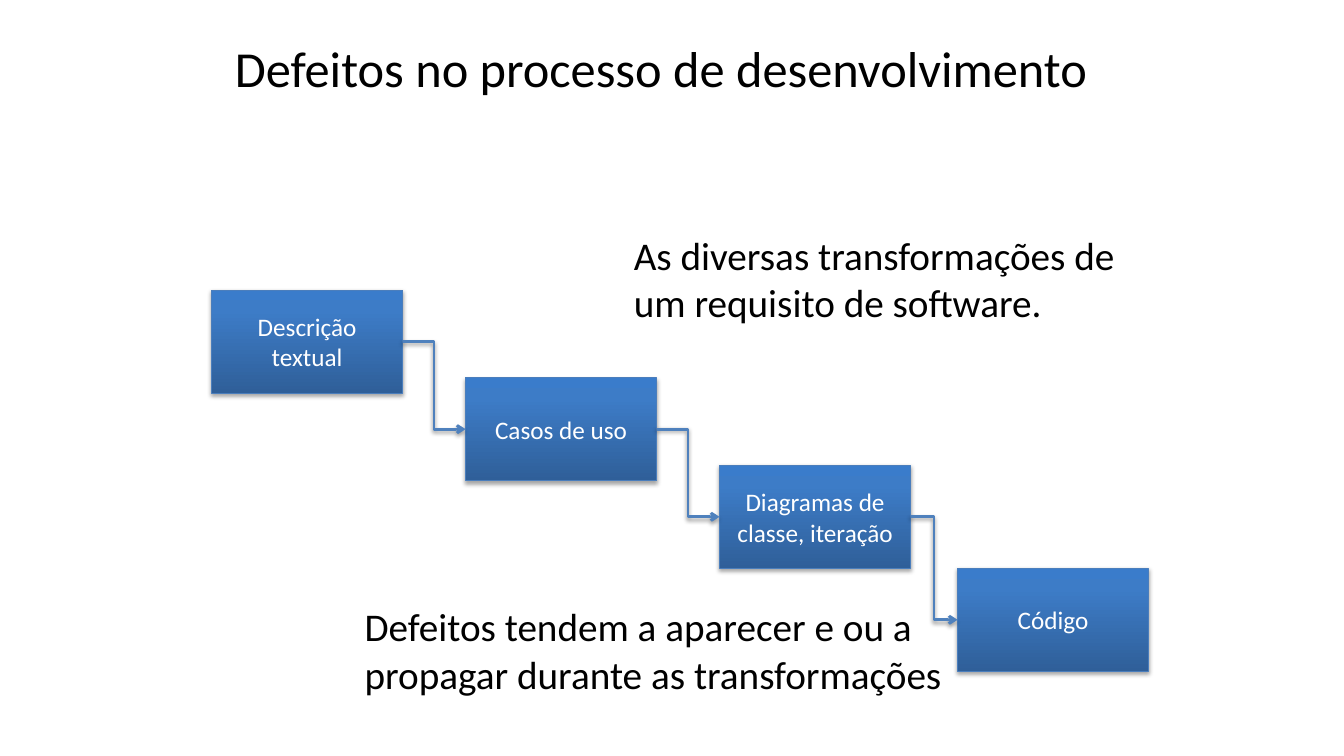
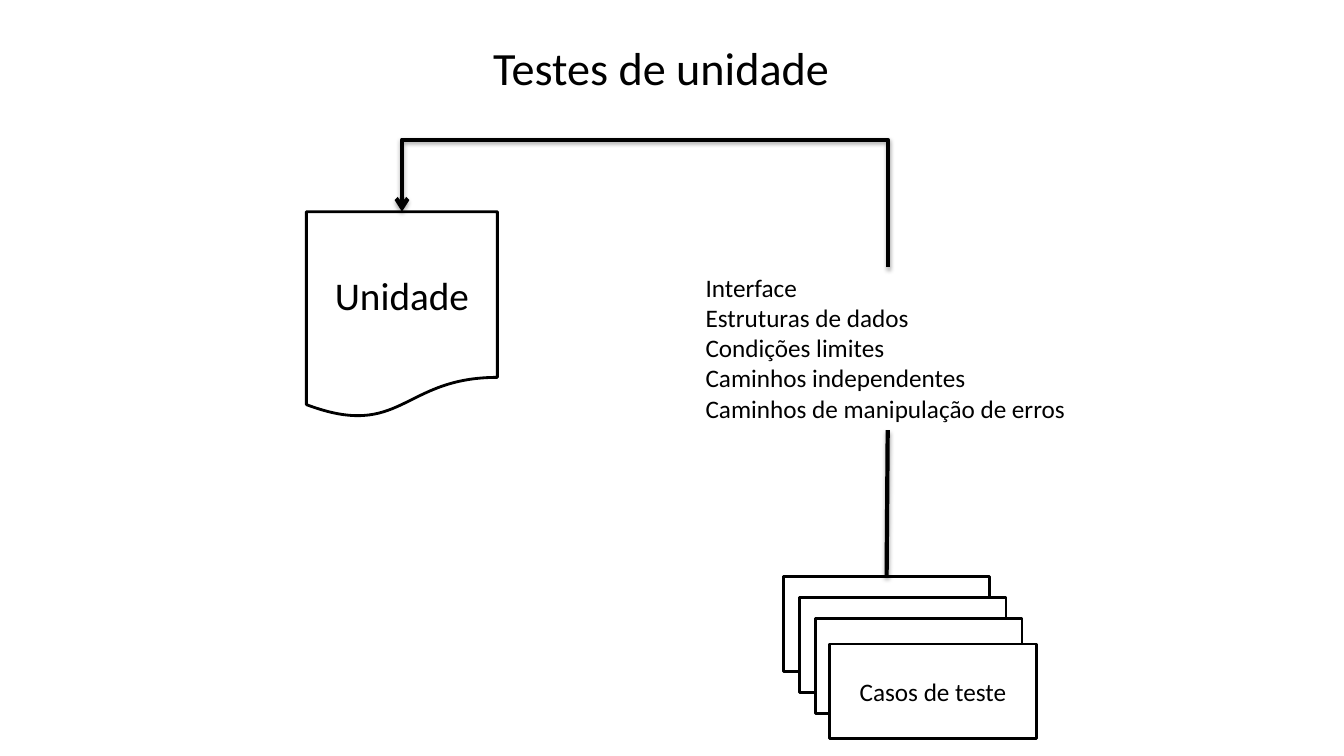
from collections import namedtuple
from copy import deepcopy
from itertools import pairwise

from pptx import Presentation
from pptx.dml.color import RGBColor
from pptx.enum.shapes import MSO_CONNECTOR, MSO_SHAPE
from pptx.enum.text import MSO_ANCHOR, MSO_AUTO_SIZE, PP_ALIGN
from pptx.oxml.ns import qn
from pptx.oxml.xmlchemy import OxmlElement
from pptx.util import Pt

BLACK = RGBColor(0x00, 0x00, 0x00)
WHITE = RGBColor(0xFF, 0xFF, 0xFF)
STEP_LINE = RGBColor(0x4B, 0x7E, 0xBC)
ARROW_BLUE = RGBColor(0x4F, 0x81, 0xBD)
STEP_GRADIENT = (
    (0, RGBColor(0x2F, 0x5F, 0x99)),
    (0.8, RGBColor(0x3D, 0x7C, 0xC7)),
    (1, RGBColor(0x3A, 0x7C, 0xCB)),
)
FONT = "Calibri"
TOP, LEFT, BOTTOM, RIGHT = 0, 2, 2, 3
LEFT = 1

Box = namedtuple("Box", "left top width height")
TITLE_BOX = Box(40.3, 2.9, 864, 90)


def in_points(box):
    """Return the four measures of a box as lengths."""
    return [Pt(value) for value in box]


def within(box, left, top, width, height):
    """Place a box relative to the corner of another."""
    return Box(box.left + left, box.top + top, width, height)


def add_child(parent, tag, **attributes):
    """Append an XML element with the given attributes."""
    child = OxmlElement(tag)
    for name, value in attributes.items():
        child.set(name, str(value))
    parent.append(child)
    return child


def add_shadow(shape, distance=1.8, opacity=35):
    """Give a shape or connector a soft shadow below it."""
    properties = shape.element.spPr
    effects = properties.find(qn("a:effectLst"))
    if effects is None:
        effects = add_child(properties, "a:effectLst")
    shadow = add_child(effects, "a:outerShdw", blurRad=Pt(3.1), dist=Pt(distance),
                       dir=5400000, rotWithShape=0)
    color = add_child(shadow, "a:srgbClr", val=BLACK)
    add_child(color, "a:alpha", val=opacity * 1000)


def write(shape, lines, size, color=BLACK, align=PP_ALIGN.LEFT, anchor=MSO_ANCHOR.TOP):
    """Write one paragraph per line and return the paragraphs."""
    frame = shape.text_frame
    frame.word_wrap = True
    frame.vertical_anchor = anchor
    for index, line in enumerate(lines):
        paragraph = frame.add_paragraph() if index else frame.paragraphs[0]
        paragraph.alignment = align
        run = paragraph.add_run()
        run.text = line
        run.font.name = FONT
        run.font.size = Pt(size)
        run.font.color.rgb = color
    return frame.paragraphs


def add_text(slide, box, lines, size):
    """Add a text box that grows with its text."""
    text_box = slide.shapes.add_textbox(*in_points(box))
    write(text_box, lines, size)
    text_box.text_frame.auto_size = MSO_AUTO_SIZE.SHAPE_TO_FIT_TEXT
    return text_box


def add_title(slide, box, title, size):
    """Add the centred slide title."""
    text_box = slide.shapes.add_textbox(*in_points(box))
    write(text_box, [title], size, align=PP_ALIGN.CENTER, anchor=MSO_ANCHOR.MIDDLE)


def add_outlined(shapes, kind, box, line_color=BLACK, line_width=2):
    """Add a white preset shape with an outline."""
    shape = shapes.add_shape(kind, *in_points(box))
    shape.shadow.inherit = False
    shape.fill.solid()
    shape.fill.fore_color.rgb = WHITE
    shape.line.color.rgb = line_color
    shape.line.width = Pt(line_width)
    return shape


def add_line(slide, kind, ends, color, width, arrow=False):
    """Add a coloured connector between two points."""
    connector = slide.shapes.add_connector(kind, *in_points(ends))
    connector.line.color.rgb = color
    connector.line.width = Pt(width)
    if arrow:
        add_child(connector.line._get_or_add_ln(), "a:tailEnd", type="arrow")
    return connector


def add_step(slide, box, label):
    """Add one shaded step of the process."""
    step = add_outlined(slide.shapes, MSO_SHAPE.RECTANGLE, box, STEP_LINE, 0.75)
    step.fill.gradient()
    step.fill.gradient_angle = 90
    stops = step.element.find(".//" + qn("a:gsLst"))
    stops.insert(1, deepcopy(stops[0]))
    for stop, (position, color) in zip(step.fill.gradient_stops, STEP_GRADIENT):
        stop.position = position
        stop.color.rgb = color
    add_shadow(step)
    write(step, [label], 18, WHITE, PP_ALIGN.CENTER, MSO_ANCHOR.MIDDLE)
    return step


def add_staircase(slide, box):
    """Add the descending steps and the arrows joining them."""
    places = (
        ("Descrição textual", 0, 0),
        ("Casos de uso", 181.4, 62.6),
        ("Diagramas de classe, iteração", 362.8, 125.2),
        ("Código", 532.8, 198.7),
    )
    steps = [add_step(slide, within(box, left, top, 136.4, 73.6), label)
             for label, left, top in places]
    for step, following in pairwise(steps):
        arrow = add_line(slide, MSO_CONNECTOR.ELBOW, (0, 0, 0, 0), ARROW_BLUE, 2, True)
        arrow.begin_connect(step, RIGHT)
        arrow.end_connect(following, LEFT)
        add_shadow(arrow, 1.6, 38)


def add_case_stack(slide, box):
    """Add the overlapping test case cards and return the rearmost."""
    group = slide.shapes.add_group_shape()
    offsets = ((0, 0), (11.5, 15.1), (23, 30.2), (33.1, 48.2))
    cards = [add_outlined(group.shapes, MSO_SHAPE.RECTANGLE,
                          within(box, left, top, 147.6, 67.8))
             for left, top in offsets]
    write(cards[-1], ["Casos de teste"], 18, align=PP_ALIGN.CENTER, anchor=MSO_ANCHOR.MIDDLE)
    return cards[0]


def add_aspects(slide, box):
    """Add the list of tested aspects."""
    aspects = add_text(slide, box, (
        "Interface",
        "Estruturas de dados",
        "Condições limites",
        "Caminhos independentes",
        "Caminhos de manipulação de erros",
    ), 18)
    aspects.text_frame.word_wrap = False
    aspects.text_frame.paragraphs[-1].alignment = PP_ALIGN.CENTER
    return aspects


def add_overhead_arrow(slide, start, end, rise):
    """Add an arrow that climbs from start, crosses over and drops to end."""
    (start_x, start_y), (end_x, end_y) = start, end
    center_x, center_y = (start_x + end_x) / 2, (start_y + end_y) / 2
    half_width, half_height = (start_y - end_y) / 2, (start_x - end_x) / 2
    ends = (center_x - half_width, center_y + half_height,
            center_x + half_width, center_y - half_height)
    arrow = add_line(slide, MSO_CONNECTOR.ELBOW, ends, BLACK, 3, True)
    properties = arrow.element.spPr
    properties.find(qn("a:xfrm")).set("rot", str(270 * 60000))
    bend = round(rise / (start_y - end_y) * 100000)
    add_child(properties.find(".//" + qn("a:avLst")), "a:gd", name="adj1", fmla=f"val {bend}")
    add_shadow(arrow)


def add_unit_test_diagram(slide, box):
    """Add the unit, its tested aspects and the test cases."""
    rear_card = add_case_stack(slide, within(box, 340.6, 260.6, 180.7, 116))
    unit = add_outlined(slide.shapes, MSO_SHAPE.FLOWCHART_DOCUMENT,
                        within(box, 0, 0, 136.4, 147.6))
    write(unit, ["Unidade"], 28, align=PP_ALIGN.CENTER, anchor=MSO_ANCHOR.MIDDLE)
    aspects = add_aspects(slide, within(box, 278, 39.6, 274.4, 116.4))
    link = add_line(slide, MSO_CONNECTOR.STRAIGHT, (0, 0, 0, 0), BLACK, 3)
    link.begin_connect(rear_card, TOP)
    link.end_connect(aspects, BOTTOM)
    add_shadow(link)
    add_overhead_arrow(slide, (box.left + 415.2, box.top + 39.6),
                       (box.left + 68.2, box.top), 91)


def build_defects_slide(presentation):
    """Build the slide on defects in the development process."""
    slide = presentation.slides.add_slide(presentation.slide_layouts[6])
    add_title(slide, TITLE_BOX, "Defeitos no processo de desenvolvimento", 36)
    add_staircase(slide, Box(151.2, 207.2, 669.2, 272.3))
    add_text(slide, Box(445.7, 162, 374.4, 75),
             ["As diversas transformações de um requisito de software."], 28)
    add_text(slide, Box(253.4, 427, 442, 75),
             ["Defeitos tendem a aparecer e ou a propagar durante as transformações"], 28)


def build_unit_tests_slide(presentation):
    """Build the slide on unit tests."""
    slide = presentation.slides.add_slide(presentation.slide_layouts[6])
    add_title(slide, TITLE_BOX, "Testes de unidade", 33)
    add_unit_test_diagram(slide, Box(218.9, 151.2, 552.4, 376.6))


def main():
    """Create and save the presentation."""
    presentation = Presentation()
    presentation.slide_width = Pt(960)
    presentation.slide_height = Pt(540)
    build_defects_slide(presentation)
    build_unit_tests_slide(presentation)
    presentation.save("out.pptx")


if __name__ == "__main__":
    main()
